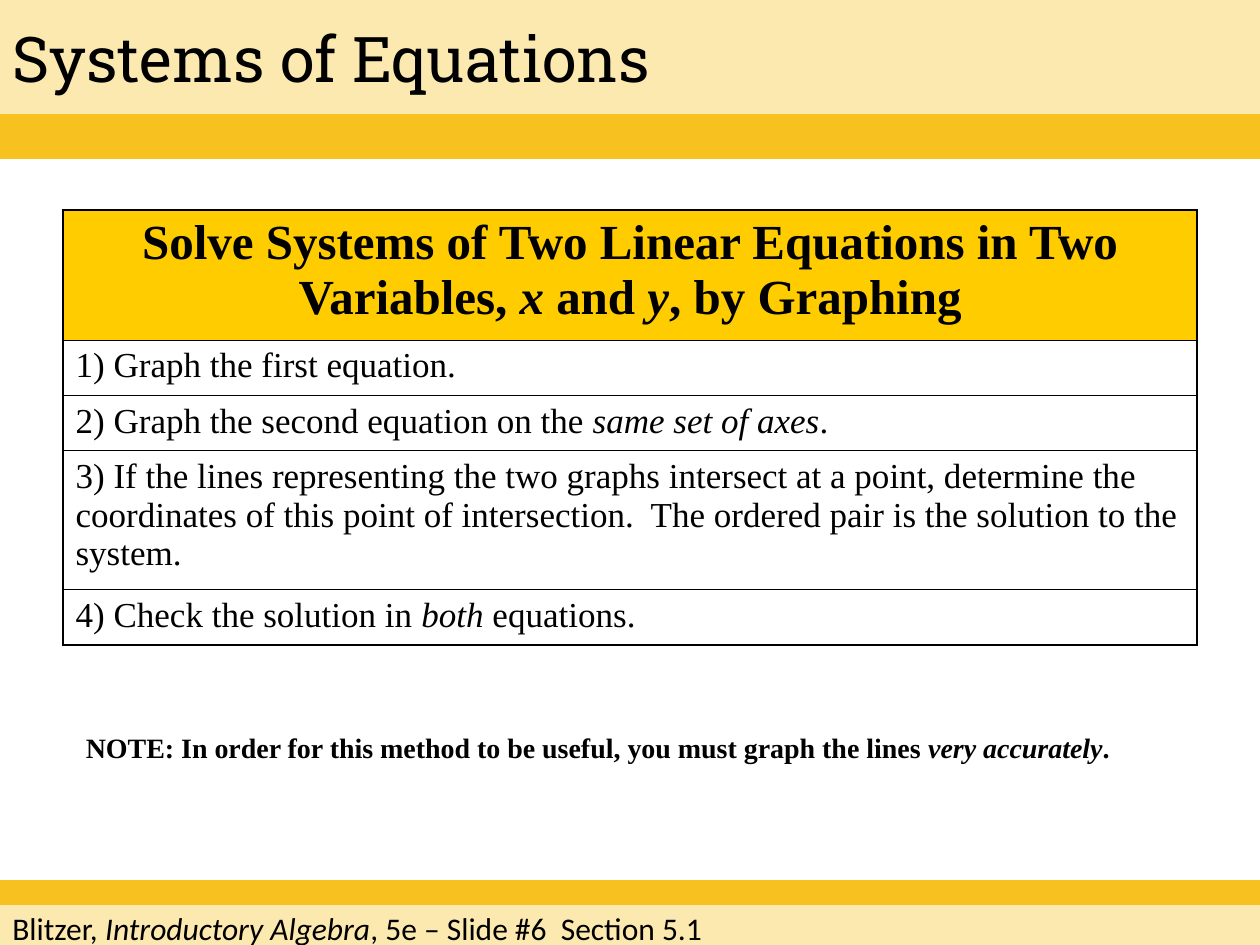
from lxml.etree import SubElement
from pptx import Presentation
from pptx.dml.color import RGBColor
from pptx.enum.shapes import MSO_SHAPE
from pptx.enum.text import MSO_ANCHOR, PP_ALIGN
from pptx.oxml.ns import qn
from pptx.util import Pt

COLORS = {
    "cream": "FCE9AF",
    "gold": "F7C120",
    "heading": "FFCC00",
    "ink": "000000",
}
SERIF = "Times New Roman"
SLIDE_WIDTH, SLIDE_HEIGHT = 720, 540
THICK, THIN = 1.08, 0.45

HEADING = "Solve Systems of Two Linear Equations in Two Variables, *x* and *y*, by Graphing"
STEPS = [
    "1) Graph the first equation.",
    "2) Graph the second equation on the *same set of axes*.",
    "3) If the lines representing the two graphs intersect at a point, determine the "
    "coordinates of this point of intersection.  The ordered pair is the solution to the system.",
    "4) Check the solution in *both* equations.",
]
ROW_HEIGHTS = [74.5, 31.5, 31.5, 79.5, 31.5]


def color(name):
    return RGBColor.from_string(COLORS[name])


def write(frame, text, size, font_name, bold=False, align=PP_ALIGN.LEFT):
    """Fill the frame with one paragraph; words between asterisks are italic."""
    frame.word_wrap = True
    paragraph = frame.paragraphs[0]
    paragraph.alignment = align
    font = paragraph.font
    font.size, font.name, font.bold = Pt(size), font_name, bold
    font.color.rgb = color("ink")
    for position, part in enumerate(text.split("*")):
        run = paragraph.add_run()
        run.text = part
        if position % 2:
            run.font.italic = True


def add_band(slide, top, height, fill, outlined=False):
    """Add a full-width bar across the slide."""
    band = slide.shapes.add_shape(
        MSO_SHAPE.RECTANGLE, 0, Pt(top), Pt(SLIDE_WIDTH), Pt(height))
    band.shadow.inherit = False
    band.fill.solid()
    band.fill.fore_color.rgb = color(fill)
    if outlined:
        band.line.color.rgb = color(fill)
        band.line.width = Pt(2)
    else:
        band.line.fill.background()
    return band


def add_titled_band(slide, top, height, text, size, font_name, anchor):
    frame = add_band(slide, top, height, "cream").text_frame
    frame.vertical_anchor = anchor
    write(frame, text, size, font_name)


def set_borders(cell, **widths):
    """Draw cell borders, given as left, right, top and bottom widths."""
    properties = cell._tc.get_or_add_tcPr()
    for side, width in widths.items():
        line = SubElement(properties, qn(f"a:ln{side[0].upper()}"), w=str(Pt(width)))
        fill = SubElement(line, qn("a:solidFill"))
        SubElement(fill, qn("a:srgbClr"), val=COLORS["ink"])


def add_steps_table(slide):
    rows = [HEADING, *STEPS]
    table = slide.shapes.add_table(
        len(rows), 1, Pt(36), Pt(120), Pt(648), Pt(sum(ROW_HEIGHTS))).table
    table.first_row = table.horz_banding = False
    last = len(rows) - 1
    for index, (text, height) in enumerate(zip(rows, ROW_HEIGHTS)):
        table.rows[index].height = Pt(height)
        cell = table.cell(index, 0)
        set_borders(cell, left=THICK, right=THICK,
                    top=THICK if index == 0 else THIN,
                    bottom=THICK if index == last else THIN)
        if index == 0:
            cell.fill.solid()
            cell.fill.fore_color.rgb = color("heading")
            write(cell.text_frame, text, 28, SERIF, bold=True, align=PP_ALIGN.CENTER)
        else:
            cell.fill.background()
            write(cell.text_frame, text, 20, SERIF)


def add_note(slide, text):
    note = slide.shapes.add_textbox(Pt(42), Pt(414), Pt(642), Pt(26.5))
    write(note.text_frame, text, 16, SERIF, bold=True)


def main():
    presentation = Presentation()
    presentation.slide_width = Pt(SLIDE_WIDTH)
    presentation.slide_height = Pt(SLIDE_HEIGHT)
    slide = presentation.slides.add_slide(presentation.slide_layouts[6])

    add_titled_band(slide, 516, 24, "Blitzer, *Introductory Algebra*, 5e – Slide #6  Section 5.1",
                    18, "Calibri", MSO_ANCHOR.TOP)
    add_titled_band(slide, 0, 66, "Systems of Equations", 36, "Roboto Slab", MSO_ANCHOR.MIDDLE)
    add_steps_table(slide)
    add_note(slide, "NOTE: In order for this method to be useful, "
                    "you must graph the lines *very accurately*.")
    add_band(slide, 66, 24, "gold", outlined=True)
    add_band(slide, 504, 12, "gold", outlined=True)

    presentation.save("out.pptx")


if __name__ == "__main__":
    main()
